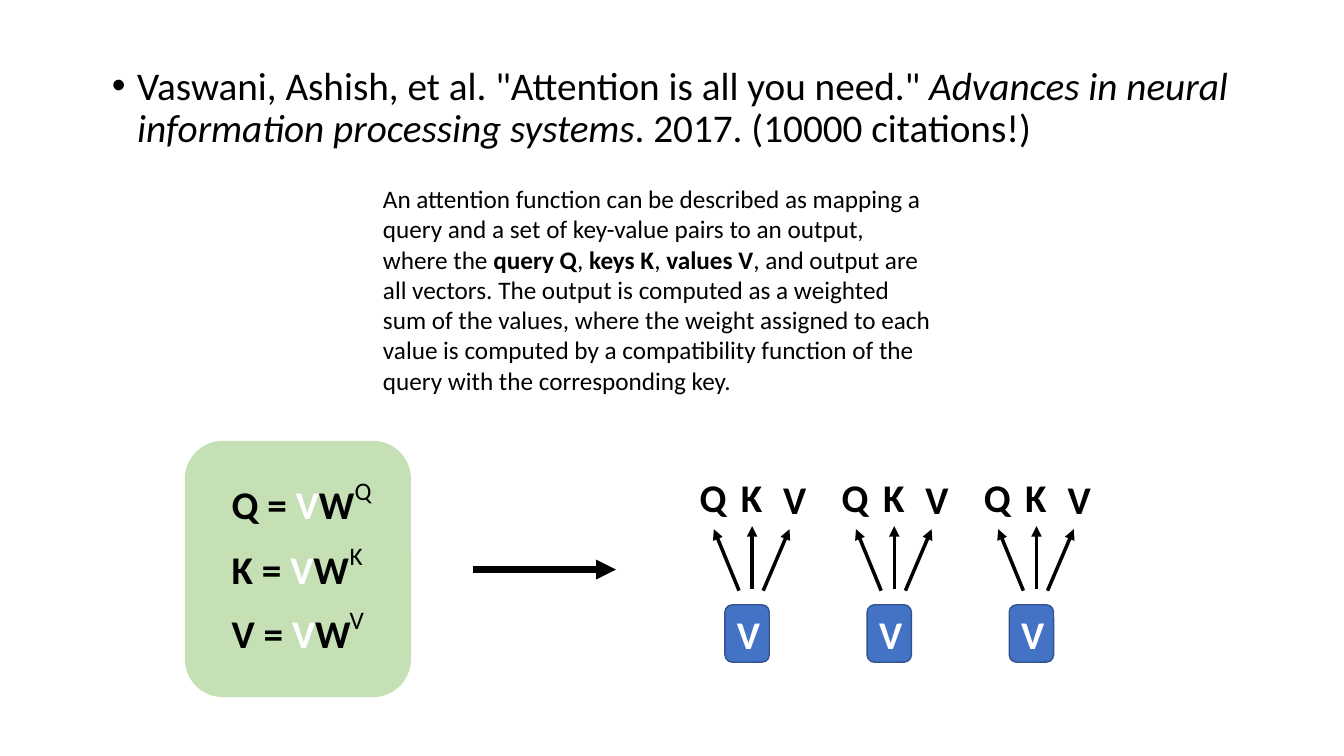
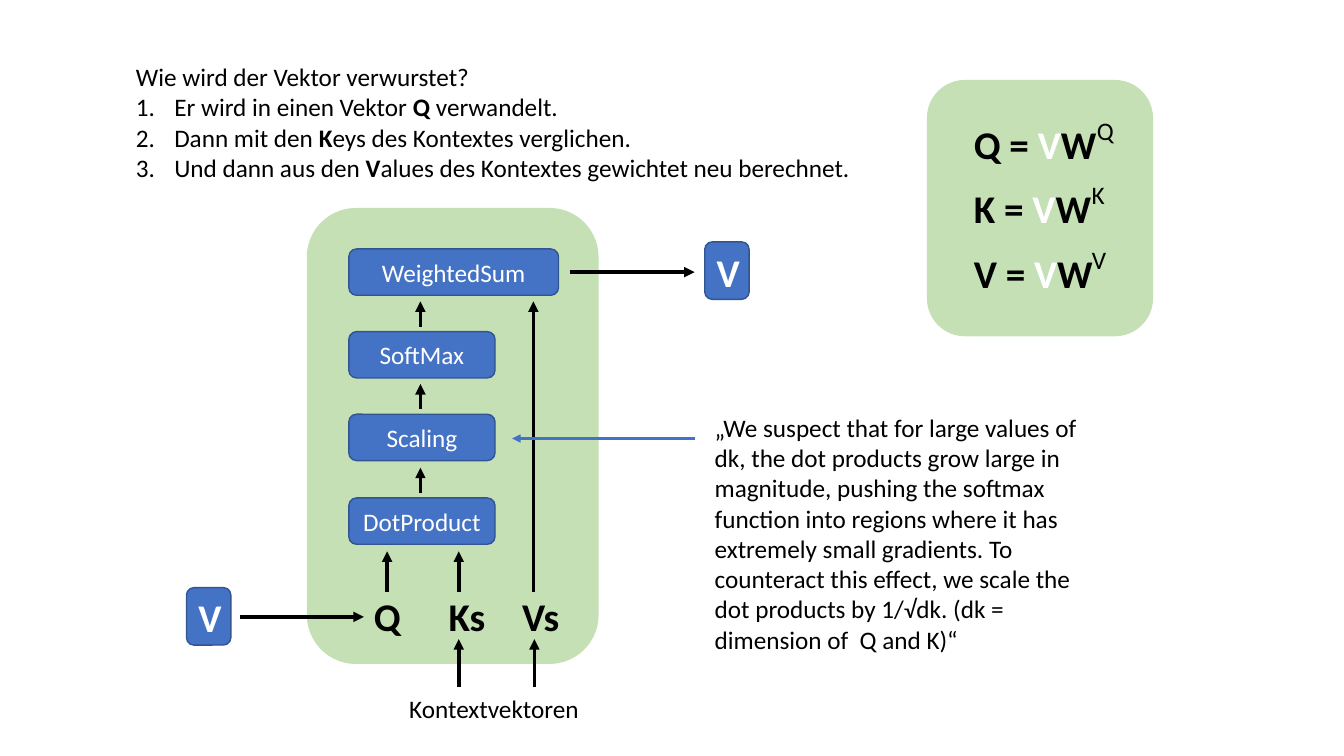
from dataclasses import dataclass

from lxml import etree
from pptx import Presentation
from pptx.dml.color import RGBColor
from pptx.enum.shapes import MSO_CONNECTOR, MSO_SHAPE
from pptx.enum.text import MSO_ANCHOR, PP_ALIGN
from pptx.oxml.ns import qn
from pptx.util import Emu, Pt

PX = 9144  # EMU in one px: 100 px to the inch
ROUNDED = MSO_SHAPE.ROUNDED_RECTANGLE
STRAIGHT = MSO_CONNECTOR.STRAIGHT
LEFT, CENTER = PP_ALIGN.LEFT, PP_ALIGN.CENTER
TOP, MIDDLE = MSO_ANCHOR.TOP, MSO_ANCHOR.MIDDLE


@dataclass(frozen=True)
class Theme:
    font: str = "Calibri"
    black: str = "000000"
    white: str = "FFFFFF"
    blue: str = "4472C4"
    blue_edge: str = "325491"
    green: str = "C5E0B4"
    large: int = 28
    small: int = 18
    edge: float = 1
    thin: float = 1.5
    arrow: float = 2.5
    thick: float = 4.75


THEME = Theme()
BOLD = {"bold": True}
LABEL = {"size": THEME.large, "bold": True}
VECTOR_SIZE = (44, 57)


def emu(*lengths):
    return [Emu(length * PX) for length in lengths]


def color(value):
    return RGBColor.from_string(value)


def add_span(para, text, size=THEME.small, fill=THEME.black, bold=False, italic=False):
    span = para.add_run()
    span.text = text
    font = span.font
    font.name, font.size = THEME.font, Pt(size)
    font.bold, font.italic = bold, italic
    font.color.rgb = color(fill)


def add_marker(para, tag, indent, **attributes):
    """Hang the paragraph behind a bullet or number."""
    properties = para._p.get_or_add_pPr()
    properties.set("marL", str(indent * PX))
    properties.set("indent", str(-indent * PX))
    etree.SubElement(properties, qn(tag), attributes)


def write(frame, *paragraphs, align=LEFT, anchor=TOP, wrap=True, **style):
    """Fill a frame; a paragraph is a string or a list of strings and (text, format) pairs."""
    frame.word_wrap = wrap
    frame.vertical_anchor = anchor
    for index, spans in enumerate(paragraphs):
        para = frame.add_paragraph() if index else frame.paragraphs[0]
        para.alignment = align
        for span in [spans] if isinstance(spans, str) else spans:
            text, extra = (span, {}) if isinstance(span, str) else span
            add_span(para, text, **{**style, **extra})
    return frame.paragraphs


def add_text(shapes, box, *paragraphs, **style):
    return write(shapes.add_textbox(*emu(*box)).text_frame, *paragraphs, **style)


def add_rounded(shapes, box, fill, edge):
    shape = shapes.add_shape(ROUNDED, *emu(*box))
    shape.shadow.inherit = False
    shape.fill.solid()
    shape.fill.fore_color.rgb = color(fill)
    shape.line.color.rgb = color(edge)
    shape.line.width = Pt(THEME.edge)
    return shape


def add_arrow(shapes, start, end, width=THEME.arrow, fill=THEME.black):
    arrow = shapes.add_connector(STRAIGHT, *emu(*start, *end))
    arrow.line.color.rgb = color(fill)
    arrow.line.width = Pt(width)
    properties = arrow.element.spPr
    etree.SubElement(properties.find(qn("a:ln")), qn("a:tailEnd"), type="triangle")
    etree.SubElement(properties, qn("a:effectLst"))


def add_vector(shapes, left, top):
    width, height = VECTOR_SIZE
    add_rounded(shapes, (left, top, width, height), THEME.blue, THEME.blue_edge)
    add_text(shapes, (left + 2, top + 1, 76, height), "V", fill=THEME.white, **LABEL)


def add_equations(page, left, top):
    """Green panel with the three projections of a vector."""
    shapes = page.shapes.add_group_shape().shapes
    add_rounded(shapes, (left, top, 223, 253), THEME.green, THEME.green)
    for row, (letter, offset, width) in enumerate(
        [("Q", 158, 37), ("K", 153, 33), ("V", 153, 35)]
    ):
        row_top = top + 34 + row * 64
        add_text(shapes, (left + 36, row_top, 187, 57),
                 [f"{letter} = ", ("V", {"fill": THEME.white}), "W"], **LABEL)
        add_text(shapes, (left + offset, row_top - 5, width, 40), letter, wrap=False)


def add_projection(page, left, top):
    """One vector with arrows up to its Q, K and V."""
    shapes = page.shapes.add_group_shape().shapes
    add_vector(shapes, left, top)
    for letter, label, start, end in [
        ("Q", (-35, -135), (14, -14), (-11, -75)),
        ("K", (6, -135), (27, -16), (27, -78)),
        ("V", (48, -133), (38, -14), (64, -75)),
    ]:
        add_arrow(shapes, (left + start[0], top + start[1]), (left + end[0], top + end[1]))
        add_text(shapes, (left + label[0], top + label[1], 80, 57), letter, **LABEL)


def add_attention(page, left, top):
    """Green panel with the steps from Q, Ks and Vs to the weighted sum."""
    shapes = page.shapes.add_group_shape().shapes
    add_rounded(shapes, (left, top, 288, 451), THEME.green, THEME.green)
    height = 46
    steps = [("WeightedSum", 208), ("SoftMax", 145), ("Scaling", 145), ("DotProduct", 145)]
    for index, (name, width) in enumerate(steps):
        step_top = top + 40 + index * 247 // 3
        step = add_rounded(shapes, (left + 41, step_top, width, height),
                           THEME.blue, THEME.blue_edge)
        step.text_frame.margin_left = step.text_frame.margin_right = 0
        write(step.text_frame, name, fill=THEME.white, align=CENTER, anchor=MIDDLE)
        if index:
            add_arrow(shapes, (left + 112, step_top - 5), (left + 112, step_top - 30))
    for name, label_left, width, arrow_left, arrow_end in [
        ("Q", 56, 55, 79, 340), ("Ks", 130, 62, 150, 340), ("Vs", 203, 97, 224, 92),
    ]:
        add_text(shapes, (left + label_left, top + 376, width, 57), name, **LABEL)
        add_arrow(shapes, (left + arrow_left, top + 380), (left + arrow_left, top + arrow_end))


def add_citation(page, box):
    page.shapes.title.element.getparent().remove(page.shapes.title.element)
    body = page.placeholders[1]
    body.left, body.top, body.width, body.height = emu(*box)
    [para] = write(
        body.text_frame,
        ['Vaswani, Ashish, et al. "Attention is all you need." ',
         ("Advances in neural information processing systems", {"italic": True}),
         ". 2017. (10000 citations!)"],
        size=THEME.large,
    )
    add_marker(para, "a:buChar", 25, char="•")
    para.line_spacing = 0.9
    para.space_before = Pt(0)


def add_recipe(page, box):
    heading, *steps = add_text(
        page.shapes, box,
        "Wie wird der Vektor verwurstet?",
        ["Er wird in einen Vektor ", ("Q", BOLD), " verwandelt."],
        ["Dann mit den ", ("K", BOLD), "eys des Kontextes verglichen."],
        ["Und dann aus den ", ("V", BOLD), "alues des Kontextes gewichtet neu berechnet."],
    )
    heading.line_spacing = 1.5
    for step in steps:
        add_marker(step, "a:buAutoNum", 38, type="arabicPeriod")


def build_definition(deck):
    page = deck.slides.add_slide(deck.slide_layouts[1])
    add_citation(page, (101, 61, 1150, 122))
    add_text(
        page.shapes, (370, 177, 563, 252),
        ["An attention function can be described as mapping a query and a set of "
         "key-value pairs to an output, where the ",
         ("query Q", BOLD), ", ", ("keys K", BOLD), ", ", ("values V", BOLD),
         ", and output are all vectors. The output is computed as a weighted sum of the "
         "values, where the weight assigned to each value is computed by a compatibility "
         "function of the query with the corresponding key."],
    )
    for index in range(3):
        add_projection(page, 719 + index * 141, 600)
    add_equations(page, 184, 438)
    add_arrow(page.shapes, (469, 565), (611, 565), width=THEME.thick)


def build_mechanism(deck):
    page = deck.slides.add_slide(deck.slide_layouts[6])
    shapes = page.shapes
    add_attention(page, 305, 207)
    add_recipe(page, (125, 41, 735, 146))
    for left, top in [(699, 240), (185, 583)]:
        add_vector(shapes.add_group_shape().shapes, left, top)
    add_arrow(shapes, (238, 612), (361, 612))
    add_arrow(shapes, (565, 270), (689, 270))
    add_equations(page, 920, 80)
    add_text(
        shapes, (699, 404, 382, 252),
        "„We suspect that for large values of dk, the dot products grow large in magnitude, "
        "pushing the softmax function into regions where it has extremely small gradients. "
        "To counteract this effect, we scale the dot products by 1/√dk. "
        "(dk = dimension of  Q and K)“",
    )
    add_text(shapes, (396, 683, 202, 42), "Kontextvektoren")
    for left in (455, 530):
        add_arrow(shapes, (left, 682), (left, 634))
    add_arrow(shapes, (689, 435), (508, 435), width=THEME.thin, fill=THEME.blue)


def main():
    deck = Presentation()
    deck.slide_width, deck.slide_height = emu(1333, 750)
    build_definition(deck)
    build_mechanism(deck)
    deck.save("out.pptx")


if __name__ == "__main__":
    main()
